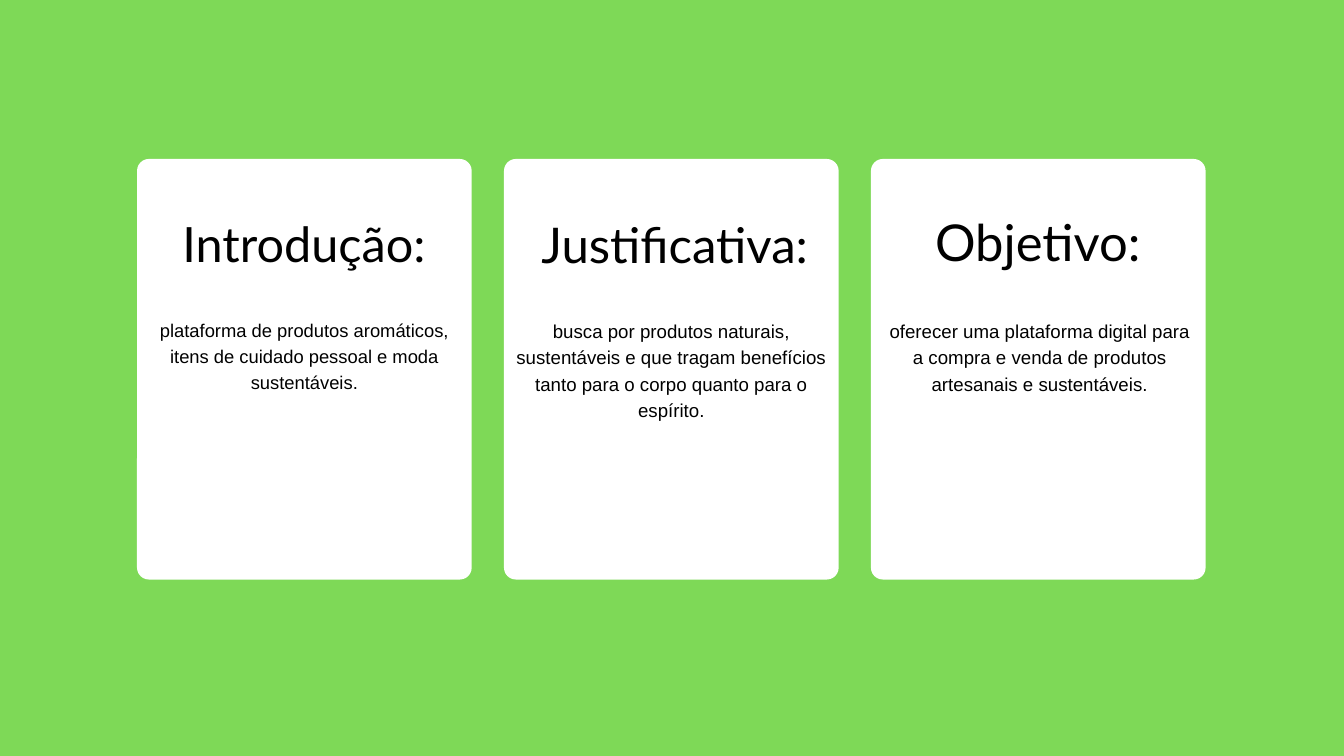
import pptx
import pptx.util
import pptx.dml.color
import pptx.enum.shapes
import pptx.enum.text
from pptx.util import Cm, Pt

THEME = {
    "background": pptx.dml.color.RGBColor.from_string("7ED957"),
    "card": pptx.dml.color.RGBColor.from_string("FFFFFF"),
    "text": pptx.dml.color.RGBColor.from_string("000000"),
    "heading_font": "Lato",
    "body_font": "Arial",
    "heading_sizes": (52.1, 52.7, 54.4),
    "body_sizes": (19.7, 20, 20),
    "heading_spacing": 1.2,
    "body_spacing": 1.4,
}

CARD_LEFT, CARD_TOP = 5.18, 6.01
CARD_WIDTH, CARD_HEIGHT = 12.65, 15.9
CARD_PITCH = 13.87
CORNER_RADIUS = 0.45

# Each frame is left, top, width, height in centimetres.
CARDS = [
    ("Introdução:", (4.9, 8.08, 13.18, 2.62),
     "plataforma de produtos aromáticos, itens de cuidado pessoal e moda sustentáveis.",
     (5.94, 11.94, 11.13, 2.92)),
    ("Justificativa:", (18.85, 8.1, 13.31, 2.64),
     "busca por produtos naturais, sustentáveis e que tragam benefícios "
     "tanto para o corpo quanto para o espírito.",
     (19.48, 11.96, 11.79, 3.91)),
    ("Objetivo:", (32.36, 7.98, 13.74, 2.72),
     "oferecer uma plataforma digital para a compra e venda de produtos "
     "artesanais e sustentáveis.",
     (33.38, 11.96, 11.84, 2.92)),
]


def write_text(box, frame, text, font, size, spacing):
    """Place the box and fill it with one centred paragraph; spacing is a multiple of size."""
    box.left, box.top, box.width, box.height = [Cm(length) for length in frame]
    text_frame = box.text_frame
    text_frame.text = text
    text_frame.word_wrap = True
    text_frame.auto_size = pptx.enum.text.MSO_AUTO_SIZE.NONE
    text_frame.vertical_anchor = pptx.enum.text.MSO_ANCHOR.TOP
    text_frame.margin_left = text_frame.margin_right = 0
    text_frame.margin_top = text_frame.margin_bottom = 0
    para = text_frame.paragraphs[0]
    para.alignment = pptx.enum.text.PP_ALIGN.CENTER
    para.line_spacing = Pt(round(size * spacing, 1))
    para.space_before = Pt(0)
    span = para.runs[0]
    span.font.name = font
    span.font.size = Pt(size)
    span.font.color.rgb = THEME["text"]


deck = pptx.Presentation()
deck.slide_width, deck.slide_height = Cm(50.8), Cm(28.58)
page = deck.slides.add_slide(deck.slide_layouts.get_by_name("Title Only"))
page.background.fill.solid()
page.background.fill.fore_color.rgb = THEME["background"]

for index in range(len(CARDS)):
    card = page.shapes.add_shape(
        pptx.enum.shapes.MSO_SHAPE.ROUNDED_RECTANGLE,
        Cm(CARD_LEFT + index * CARD_PITCH), Cm(CARD_TOP), Cm(CARD_WIDTH), Cm(CARD_HEIGHT))
    card.adjustments[0] = CORNER_RADIUS / CARD_WIDTH
    card.shadow.inherit = False
    card.fill.solid()
    card.fill.fore_color.rgb = THEME["card"]
    card.line.fill.background()

# The title placeholder holds the first heading and has to lie in front of its card.
title = page.shapes.title
title.element.getparent().append(title.element)

for index, (heading, heading_frame, body, body_frame) in enumerate(CARDS):
    heading_box = title if index == 0 else page.shapes.add_textbox(0, 0, 0, 0)
    write_text(heading_box, heading_frame, heading, THEME["heading_font"],
               THEME["heading_sizes"][index], THEME["heading_spacing"])
    body_box = page.shapes.add_textbox(0, 0, 0, 0)
    write_text(body_box, body_frame, body, THEME["body_font"],
               THEME["body_sizes"][index], THEME["body_spacing"])

deck.save("out.pptx")
